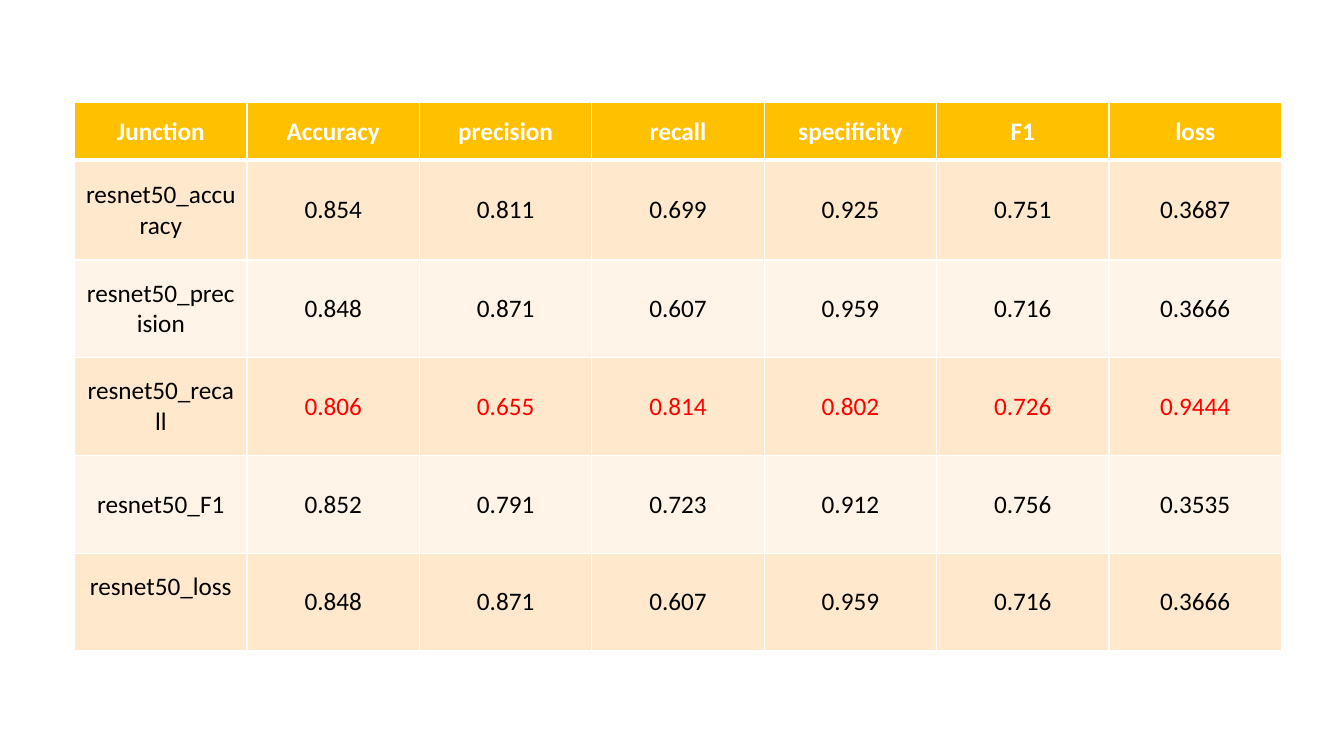
import dataclasses

import lxml.etree
import pptx
import pptx.dml.color
import pptx.enum.text
import pptx.oxml.ns
import pptx.util


@dataclasses.dataclass(frozen=True)
class Theme:
    """Colours and type sizes of the slide."""
    font: str = "Calibri"
    size: int = 18
    header: str = "FFC000"
    bands: tuple = ("FFE8CC", "FFF4E7")
    rule: str = "FFFFFF"
    header_text: str = "FFFFFF"
    text: str = "000000"
    highlight: str = "FF0000"
    thin: int = 1
    thick: int = 3


THEME = Theme()
SLIDE_WIDTH, SLIDE_HEIGHT = 13.33, 7.5
METRICS = ("Junction", "Accuracy", "precision", "recall", "specificity", "F1", "loss")
RESULTS = (
    ("resnet50_accuracy", "0.854", "0.811", "0.699", "0.925", "0.751", "0.3687"),
    ("resnet50_precision", "0.848", "0.871", "0.607", "0.959", "0.716", "0.3666"),
    ("resnet50_recall", "0.806", "0.655", "0.814", "0.802", "0.726", "0.9444"),
    ("resnet50_F1", "0.852", "0.791", "0.723", "0.912", "0.756", "0.3535"),
    ("resnet50_loss", "0.848", "0.871", "0.607", "0.959", "0.716", "0.3666"),
)
HIGHLIGHTED = "resnet50_recall"
RAISED = "resnet50_loss"
ROW_SHARES = (0.57, 0.99, 0.97, 0.97, 0.97, 0.97)


def rule_cell(cell, widths):
    """Draw the left, right, top and bottom rules of a cell, in that order of widths."""
    properties = cell._tc.get_or_add_tcPr()
    for side, width in zip(("lnL", "lnR", "lnT", "lnB"), widths):
        line = lxml.etree.SubElement(
            properties, pptx.oxml.ns.qn(f"a:{side}"), w=str(pptx.util.Pt(width)))
        fill = lxml.etree.SubElement(line, pptx.oxml.ns.qn("a:solidFill"))
        lxml.etree.SubElement(fill, pptx.oxml.ns.qn("a:srgbClr"), val=THEME.rule)


def write_cell(cell, wording, fill, color, bold):
    """Fill a cell and centre its wording."""
    cell.fill.solid()
    cell.fill.fore_color.rgb = pptx.dml.color.RGBColor.from_string(fill)
    cell.vertical_anchor = pptx.enum.text.MSO_ANCHOR.MIDDLE
    paragraph = cell.text_frame.paragraphs[0]
    paragraph.alignment = pptx.enum.text.PP_ALIGN.CENTER
    run = paragraph.add_run()
    run.text = wording
    run.font.name = THEME.font
    run.font.size = pptx.util.Pt(THEME.size)
    run.font.bold = bold
    run.font.color.rgb = pptx.dml.color.RGBColor.from_string(color)


def add_results_table(slide, left, top, width, height):
    """Place the table of model scores in the given box."""
    records = (METRICS, *RESULTS)
    scores = slide.shapes.add_table(
        len(records), len(METRICS), *map(pptx.util.Inches, (left, top, width, height))).table
    for column in scores.columns:
        column.width = pptx.util.Inches(width / len(METRICS))
    for index, (record, share) in enumerate(zip(records, ROW_SHARES)):
        scores.rows[index].height = pptx.util.Inches(height * share / sum(ROW_SHARES))
        is_header = index == 0
        fill = THEME.header if is_header else THEME.bands[(index - 1) % 2]
        above = THEME.thick if index == 1 else THEME.thin
        below = THEME.thick if is_header else THEME.thin
        for position, wording in enumerate(record):
            cell = scores.cell(index, position)
            color = THEME.header_text if is_header else THEME.text
            if record[0] == HIGHLIGHTED and position > 0:
                color = THEME.highlight
            rule_cell(cell, (THEME.thin, THEME.thin, above, below))
            write_cell(cell, wording, fill, color, is_header)
            if wording == RAISED:
                cell.margin_bottom = pptx.util.Inches(0.35)


def main():
    """Build and save the slide."""
    presentation = pptx.Presentation()
    presentation.slide_width = pptx.util.Inches(SLIDE_WIDTH)
    presentation.slide_height = pptx.util.Inches(SLIDE_HEIGHT)
    slide = presentation.slides.add_slide(presentation.slide_layouts[6])
    add_results_table(slide, 0.74, 1.02, 11.97, 5.44)
    presentation.save("out.pptx")


if __name__ == "__main__":
    main()
